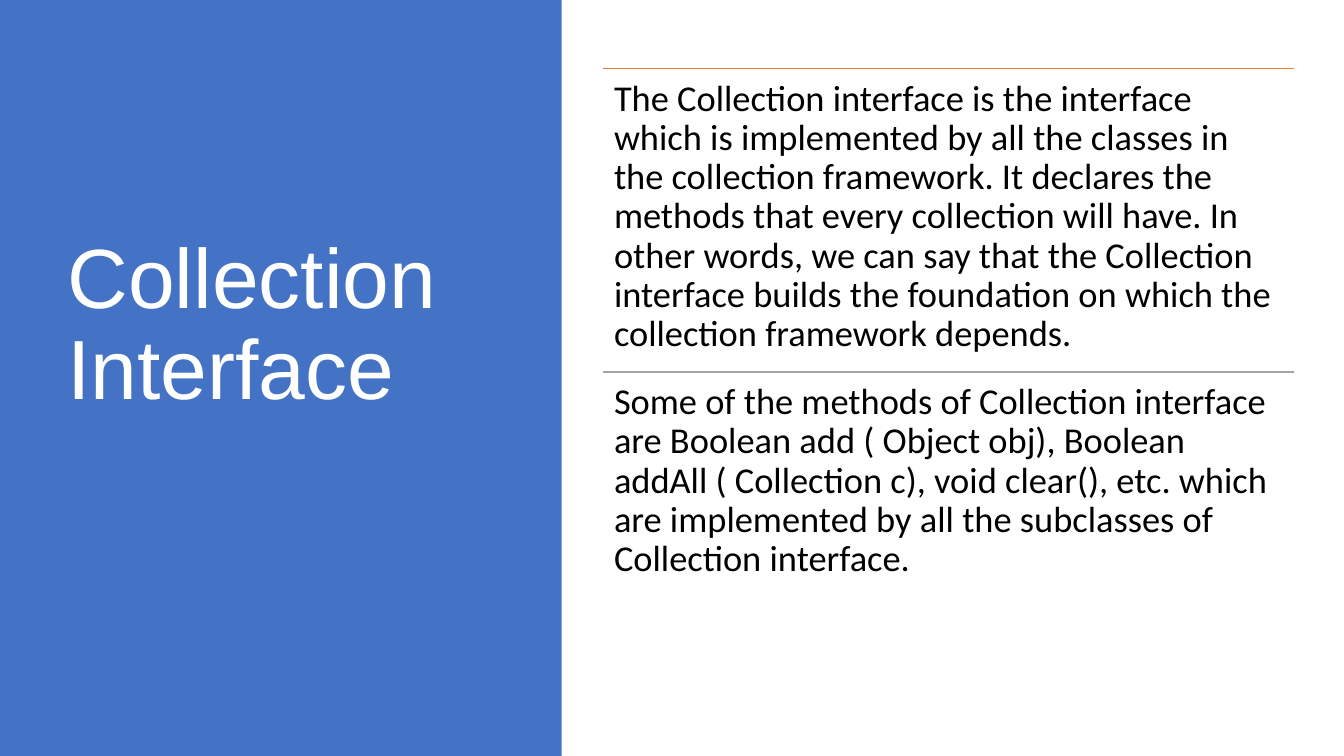
from pptx import Presentation
from pptx.dml.color import RGBColor
from pptx.enum.shapes import MSO_CONNECTOR, MSO_SHAPE
from pptx.enum.text import MSO_ANCHOR
from pptx.oxml.ns import qn
from pptx.util import Inches, Pt
from lxml import etree

BLUE = RGBColor(0x44, 0x72, 0xC4)
ORANGE = RGBColor(0xED, 0x7D, 0x31)
GRAY = RGBColor(0xA5, 0xA5, 0xA5)
WHITE = RGBColor(0xFF, 0xFF, 0xFF)
BLACK = RGBColor(0x00, 0x00, 0x00)

presentation = Presentation()
presentation.slide_width = Inches(13.33)
presentation.slide_height = Inches(7.5)
slide = presentation.slides.add_slide(presentation.slide_layouts[6])


def add_text(left, top, width, height, text, font_name, size, color):
    box = slide.shapes.add_textbox(Inches(left), Inches(top), Inches(width), Inches(height))
    frame = box.text_frame
    frame.word_wrap = True
    frame.text = text
    paragraph = frame.paragraphs[0]
    paragraph.line_spacing = 0.9
    font = paragraph.runs[0].font
    font.name = font_name
    font.size = Pt(size)
    font.color.rgb = color
    return frame


# Blue side panel
panel = slide.shapes.add_shape(MSO_SHAPE.RECTANGLE, 0, 0, Inches(5.57), Inches(7.5))
panel.shadow.inherit = False
panel.fill.solid()
panel.fill.fore_color.rgb = BLUE
panel.line.fill.background()

# Title, raised above the middle by the deep bottom margin
title = add_text(0.57, 0.68, 4.16, 6.02, "Collection Interface", "Arial", 60, WHITE)
title.vertical_anchor = MSO_ANCHOR.MIDDLE
title.margin_bottom = Inches(0.94)

# Ruled text sections
sections = [
    (ORANGE, "The Collection interface is the interface which is implemented by all the "
             "classes in the collection framework. It declares the methods that every "
             "collection will have. In other words, we can say that the Collection interface "
             "builds the foundation on which the collection framework depends."),
    (GRAY, "Some of the methods of Collection interface are Boolean add ( Object obj), "
           "Boolean addAll ( Collection c), void clear(), etc. which are implemented by all "
           "the subclasses of Collection interface."),
]
LEFT, TOP, WIDTH, HEIGHT = 5.98, 0.68, 6.85, 3.01
for index, (color, text) in enumerate(sections):
    top = TOP + index * HEIGHT
    rule = slide.shapes.add_connector(MSO_CONNECTOR.STRAIGHT, Inches(LEFT), Inches(top),
                                      Inches(LEFT + WIDTH), Inches(top))
    rule.line.color.rgb = color
    rule.line.width = Pt(1)
    etree.SubElement(rule._element.spPr, qn("a:effectLst"))

    body = add_text(LEFT, top, WIDTH, HEIGHT, text, "Calibri", 26, BLACK)
    body.margin_left = body.margin_right = Inches(0.11)
    body.margin_top = body.margin_bottom = Inches(0.11)

presentation.save("out.pptx")
